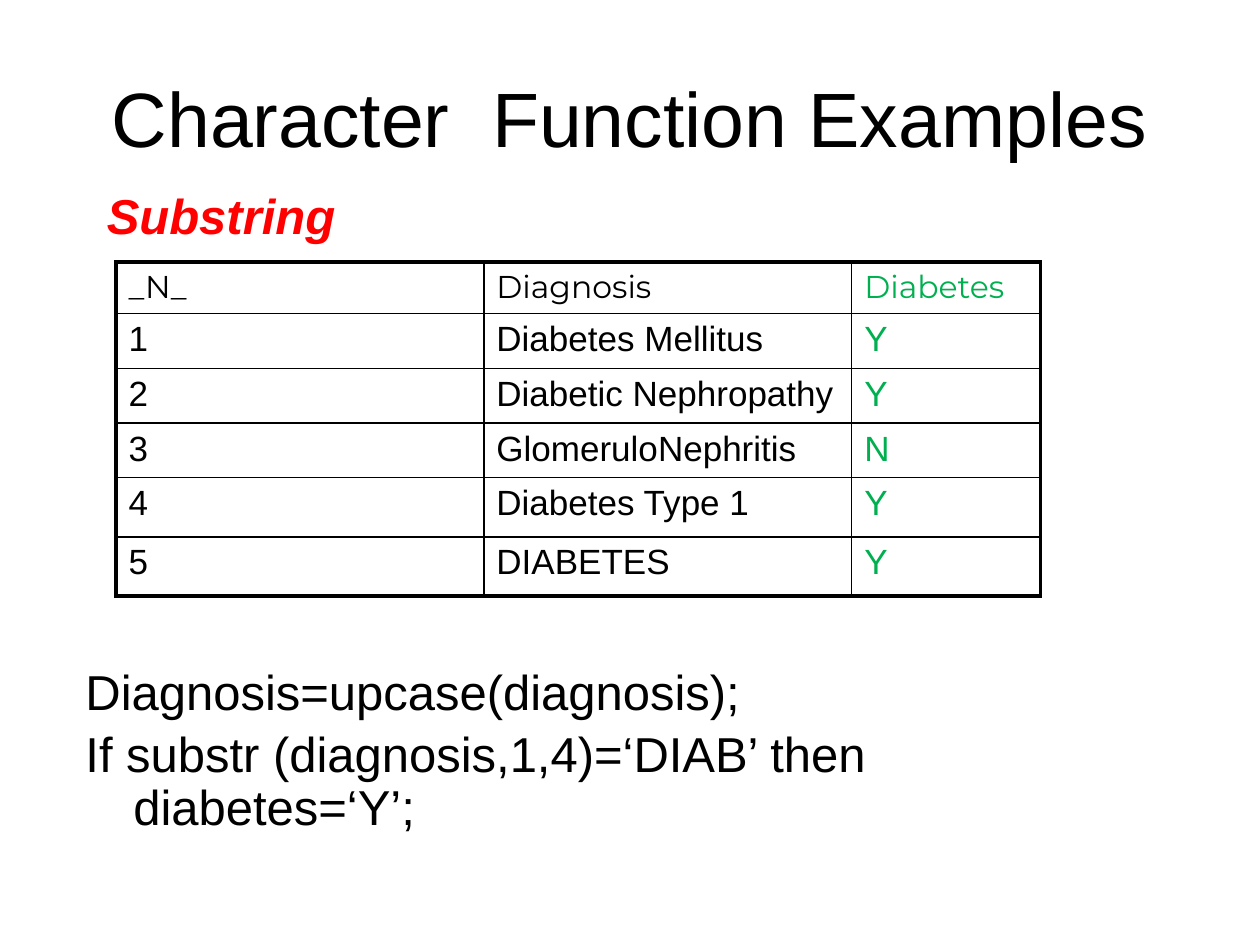
from pptx import Presentation
from pptx.dml.color import RGBColor
from pptx.enum.text import MSO_ANCHOR, PP_ALIGN
from pptx.oxml import parse_xml
from pptx.oxml.ns import nsdecls
from pptx.util import Inches, Pt

CENTER, LEFT = PP_ALIGN.CENTER, PP_ALIGN.LEFT
MIDDLE, TOP = MSO_ANCHOR.MIDDLE, MSO_ANCHOR.TOP
BLACK, RED, GREEN = "000000", "FF0000", "00B050"
TITLE_ONLY = 5
THIN, THICK = 1, 2.25
COLUMN_WIDTHS = [2.92, 2.92, 1.5]
ROW_HEIGHTS = [0.41, 0.41, 0.41, 0.41, 0.47, 0.47]
DIAGNOSES = [
    ("_N_", "Diagnosis", "Diabetes"),
    ("1", "Diabetes Mellitus", "Y"),
    ("2", "Diabetic Nephropathy", "Y"),
    ("3", "GlomeruloNephritis", "N"),
    ("4", "Diabetes Type 1", "Y"),
    ("5", "DIABETES", "Y"),
]
CODE = ["Diagnosis=upcase(diagnosis);",
        "If substr (diagnosis,1,4)=‘DIAB’ then diabetes=‘Y’;"]


def color(hex_string):
    """Return the colour for a hex string."""
    return RGBColor.from_string(hex_string)


def add_text(paragraph, text, size, hex_string=BLACK, font="Arial", strong=False):
    """Add one formatted run to a paragraph."""
    run = paragraph.add_run()
    run.text = text
    run.font.name = font
    run.font.size = Pt(size)
    run.font.color.rgb = color(hex_string)
    run.font.bold = run.font.italic = strong


def add_title(slide, box, text):
    """Place and fill the title placeholder."""
    title = slide.shapes.title
    title.left, title.top, title.width, title.height = map(Inches, box)
    title.text_frame.vertical_anchor = MIDDLE
    heading = title.text_frame.paragraphs[0]
    heading.alignment = CENTER
    add_text(heading, text, 44)


def add_frame(slide, box):
    """Add a wrapping text box and return its text frame."""
    frame = slide.shapes.add_textbox(*map(Inches, box)).text_frame
    frame.word_wrap = True
    frame.vertical_anchor = TOP
    return frame


def add_subtitle(slide, box, text):
    """Add the name of the function shown."""
    add_text(add_frame(slide, box).paragraphs[0], text, 28, RED, strong=True)


def add_code(slide, box, statements):
    """Add the statements with a hanging indent."""
    frame = add_frame(slide, box)
    for index, statement in enumerate(statements):
        line = frame.add_paragraph() if index else frame.paragraphs[0]
        line.alignment = LEFT
        line.line_spacing = 0.9
        line.space_before = Pt(5.6)
        properties = line._p.get_or_add_pPr()
        properties.set("marL", str(Inches(0.38)))
        properties.set("indent", str(Inches(-0.38)))
        add_text(line, statement, 28)


def set_borders(cell, widths):
    """Draw the left, right, top and bottom borders of a cell."""
    properties = cell._tc.get_or_add_tcPr()
    for index, (side, width) in enumerate(zip("LRTB", widths)):
        properties.insert(index, parse_xml(
            f'<a:ln{side} {nsdecls("a")} w="{Pt(width)}"><a:solidFill>'
            f'<a:srgbClr val="{BLACK}"/></a:solidFill></a:ln{side}>'))


def add_diagnoses(slide, box, rows):
    """Add the table with a thick frame and thin inner lines."""
    last_row, last_column = len(rows) - 1, len(COLUMN_WIDTHS) - 1
    table = slide.shapes.add_table(
        len(rows), len(COLUMN_WIDTHS), *map(Inches, box)).table
    table.first_row = table.horz_banding = False
    for column, width in zip(table.columns, COLUMN_WIDTHS):
        column.width = Inches(width)
    for r, values in enumerate(rows):
        table.rows[r].height = Inches(ROW_HEIGHTS[r])
        size, font = (20, "Arial") if r else (18, "Montserrat")
        for c, value in enumerate(values):
            cell = table.cell(r, c)
            cell.fill.background()
            edges = (c == 0, c == last_column, r == 0, r == last_row)
            set_borders(cell, [THICK if edge else THIN for edge in edges])
            add_text(cell.text_frame.paragraphs[0], value, size,
                     GREEN if c == last_column else BLACK, font)


def main():
    """Build and save the slide."""
    deck = Presentation()
    deck.slide_width, deck.slide_height = Inches(10), Inches(7.5)
    slide = deck.slides.add_slide(deck.slide_layouts[TITLE_ONLY])
    add_title(slide, (0.5, 0.3, 9, 1.25), "Character  Function Examples")
    add_code(slide, (0.58, 5.25, 8.42, 1.53), CODE)
    add_diagnoses(slide, (0.92, 2.08, sum(COLUMN_WIDTHS), sum(ROW_HEIGHTS)), DIAGNOSES)
    add_subtitle(slide, (0.75, 1.42, 2.75, 1.03), "Substring")
    deck.save("out.pptx")


main()
